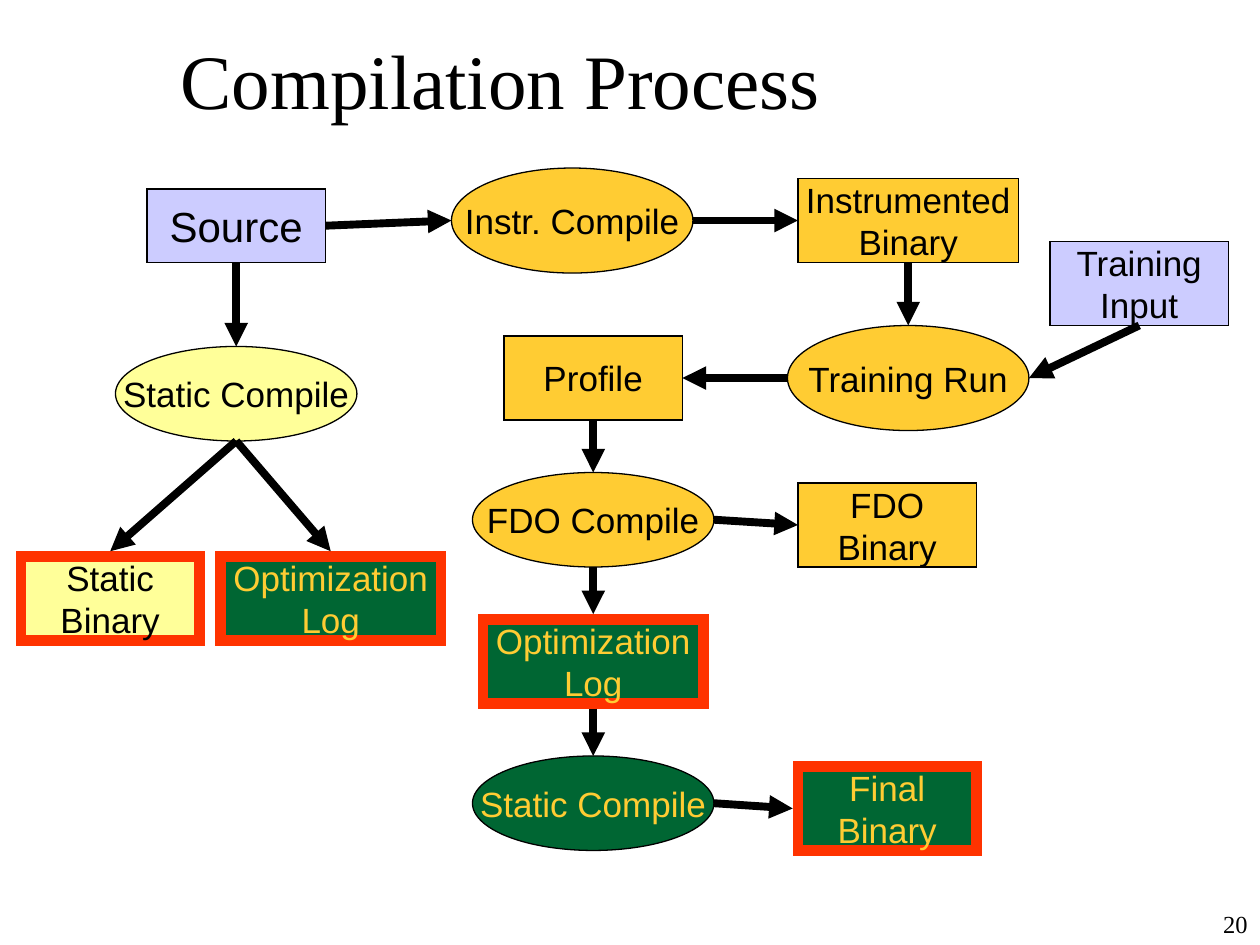
from lxml import etree
from pptx import Presentation
from pptx.dml.color import RGBColor
from pptx.enum.shapes import MSO_CONNECTOR, MSO_SHAPE
from pptx.enum.text import MSO_ANCHOR, MSO_AUTO_SIZE, PP_ALIGN
from pptx.oxml.ns import qn
from pptx.util import Pt

RECT, OVAL = MSO_SHAPE.RECTANGLE, MSO_SHAPE.OVAL
STRAIGHT = MSO_CONNECTOR.STRAIGHT
MIDDLE, NO_FIT = MSO_ANCHOR.MIDDLE, MSO_AUTO_SIZE.NONE
LEFT, CENTER, RIGHT = PP_ALIGN.LEFT, PP_ALIGN.CENTER, PP_ALIGN.RIGHT

BLACK, WHITE, RED = "000000", "FFFFFF", "FF3300"
LILAC, YELLOW, GOLD, GREEN = "CCCCFF", "FFFF99", "FFCC33", "006633"
SANS, SERIF = "Arial", "Times New Roman"
THIN, THICK = 0.75, 6
TOP, WEST, BOTTOM, EAST = range(4)
BOX_W, WIDE_W, BOX_H = 102, 126, 48
OVAL_W, OVAL_H, TALL_H = 138, 54, 60

# name: (text, shape, fill, red border, left, top, width, height)
NODES = {
    "source": ("Source", RECT, LILAC, False, 84, 108, BOX_W, 42),
    "static": ("Static Compile", OVAL, YELLOW, False, 66, 198, OVAL_W, OVAL_H),
    "static_bin": ("Static\nBinary", RECT, YELLOW, True, 12, 318, BOX_W, BOX_H),
    "static_log": ("Optimization\nLog", RECT, GREEN, True, 126, 318, WIDE_W, BOX_H),
    "instr": ("Instr. Compile", OVAL, GOLD, False, 258, 96, OVAL_W, TALL_H),
    "instr_bin": ("Instrumented\nBinary", RECT, GOLD, False, 456, 102, WIDE_W, BOX_H),
    "run": ("Training Run", OVAL, GOLD, False, 450, 186, OVAL_W, TALL_H),
    "profile": ("Profile", RECT, GOLD, False, 288, 192, BOX_W, BOX_H),
    "fdo": ("FDO Compile", OVAL, GOLD, False, 270, 270, OVAL_W, OVAL_H),
    "fdo_bin": ("FDO\nBinary", RECT, GOLD, False, 456, 276, BOX_W, BOX_H),
    "input": ("Training\nInput", RECT, LILAC, False, 600, 138, BOX_W, BOX_H),
    "fdo_log": ("Optimization\nLog", RECT, GREEN, True, 276, 354, WIDE_W, BOX_H),
    "final": ("Static Compile", OVAL, GREEN, False, 270, 432, OVAL_W, OVAL_H),
    "final_bin": ("Final\nBinary", RECT, GREEN, True, 456, 438, BOX_W, BOX_H),
}
ARROWS = [
    ("source", BOTTOM, "static", TOP),
    ("static", BOTTOM, "static_bin", TOP),
    ("static", BOTTOM, "static_log", TOP),
    ("source", EAST, "instr", WEST),
    ("instr", EAST, "instr_bin", WEST),
    ("instr_bin", BOTTOM, "run", TOP),
    ("run", WEST, "profile", EAST),
    ("profile", BOTTOM, "fdo", TOP),
    ("fdo", EAST, "fdo_bin", WEST),
    ("input", BOTTOM, "run", EAST),
    ("fdo", BOTTOM, "fdo_log", TOP),
    ("fdo_log", BOTTOM, "final", TOP),
    ("final", EAST, "final_bin", WEST),
]


def rgb(value):
    return RGBColor.from_string(value)


def place(sp, box):
    sp.left, sp.top, sp.width, sp.height = (Pt(v) for v in box)


def write(tf, text, size, font, color, align, anchor=MIDDLE, wrap=True):
    tf.word_wrap, tf.auto_size, tf.vertical_anchor = wrap, NO_FIT, anchor
    for i, line in enumerate(text.split("\n")):
        p = tf.add_paragraph() if i else tf.paragraphs[0]
        p.alignment = align
        r = p.add_run()
        r.text = line
        r.font.size, r.font.name = Pt(size), font
        r.font.color.rgb = rgb(color)


def add_block(s, kind, box, fill, line, width):
    sp = s.shapes.add_shape(kind, *(Pt(v) for v in box))
    sp.shadow.inherit = False
    sp.fill.solid()
    sp.fill.fore_color.rgb = rgb(fill)
    sp.line.color.rgb, sp.line.width = rgb(line), Pt(width)
    etree.SubElement(sp.line._get_or_add_ln(), qn("a:miter"), lim="800000")
    return sp


def add_node(s, text, kind, fill, framed, *box):
    line, width = (RED, THICK) if framed else (BLACK, THIN)
    sp = add_block(s, kind, box, fill, line, width)
    size = 24 if text == "Source" else 20
    color = GOLD if fill == GREEN else BLACK
    write(sp.text_frame, text, size, SANS, color, CENTER, wrap=False)
    return sp


def side_point(name, side):
    """Middle of a side, on the outer edge of a thick border."""
    framed, x, y, w, h = NODES[name][3:]
    gap = THICK / 2 if framed else 0
    return [(x + w / 2, y - gap), (x - gap, y + h / 2),
            (x + w / 2, y + h + gap), (x + w + gap, y + h / 2)][side]


def add_arrow(s, shapes, start, start_side, end, end_side):
    points = side_point(start, start_side) + side_point(end, end_side)
    c = s.shapes.add_connector(STRAIGHT, *(Pt(v) for v in points))
    c.line.color.rgb, c.line.width = rgb(BLACK), Pt(4.5)
    etree.SubElement(c.line._get_or_add_ln(), qn("a:tailEnd"), type="triangle")
    etree.SubElement(c._element.spPr, qn("a:effectLst"))
    # Join only where the arrow meets the rectangle's own edge
    for name, side, join in ((start, start_side, c.begin_connect),
                             (end, end_side, c.end_connect)):
        kind, framed = NODES[name][1], NODES[name][3]
        if kind == RECT and not framed:
            join(shapes[name], side)


def add_title(s, box):
    place(s.shapes.title, box)
    write(s.shapes.title.text_frame, "Compilation Process", 44, SERIF, BLACK, LEFT)


def add_flowchart(s, box):
    add_block(s, RECT, box, WHITE, WHITE, THIN)
    shapes = {name: add_node(s, *node) for name, node in NODES.items()}
    for arrow in ARROWS:
        add_arrow(s, shapes, *arrow)


def add_page_number(s, box):
    sp = s.shapes.add_textbox(*(Pt(v) for v in box))
    write(sp.text_frame, "20", 14, SERIF, BLACK, RIGHT, MSO_ANCHOR.TOP)


def main():
    prs = Presentation()
    prs.slide_width, prs.slide_height = Pt(720), Pt(540)
    s = prs.slides.add_slide(prs.slide_layouts[5])
    add_title(s, (96, 0, 594, 90))
    add_flowchart(s, (0, 102, 720, 414))
    add_page_number(s, (660, 516, 60, 24))
    prs.save("out.pptx")


if __name__ == "__main__":
    main()
